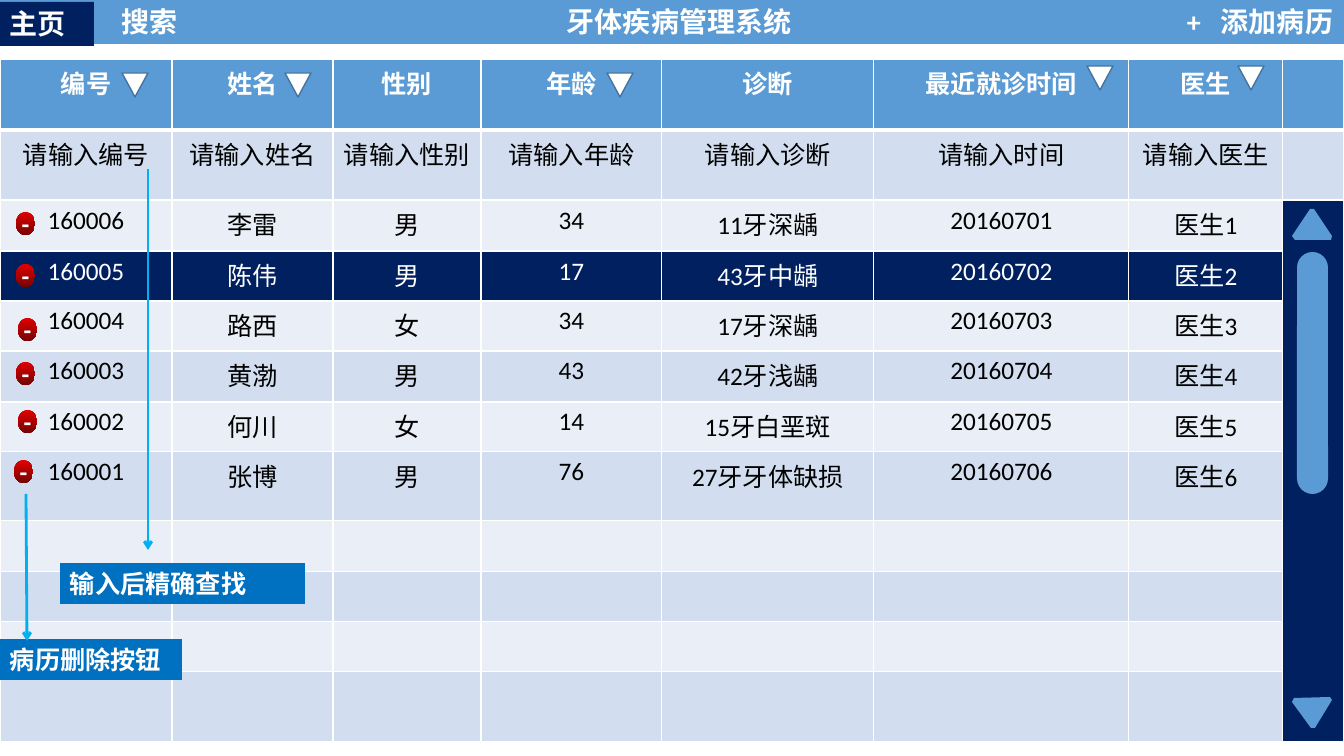
from lxml.etree import SubElement
from pptx import Presentation
from pptx.dml.color import RGBColor
from pptx.enum.shapes import MSO_CONNECTOR, MSO_SHAPE
from pptx.enum.text import MSO_ANCHOR, PP_ALIGN
from pptx.oxml.ns import qn
from pptx.util import Pt

PX = 9071  # EMU in one px
THEME = {
    "font": "Calibri", "body": 18, "bar": 20,
    "white": "FFFFFF", "black": "000000", "blue": "5B9BD5", "navy": "002060",
    "light": "EAEFF7", "dark": "D2DEEF", "edge": "43739E", "note": "0070C0",
    "arrow": "00B0F0", "red": "E30000", "wine": "760303",
}


def write(frame, text, size="body", color="white", bold=True,
          align=PP_ALIGN.LEFT, anchor=MSO_ANCHOR.TOP, tabs=(), inset=None):
    frame.word_wrap = inset is None
    frame.vertical_anchor = anchor
    if inset is not None:
        frame.margin_left = frame.margin_right = inset
        frame.margin_top = frame.margin_bottom = inset
    line = frame.paragraphs[0]
    line.text = text
    line.alignment = align
    if tabs:
        stops = SubElement(line._p.get_or_add_pPr(), qn("a:tabLst"))
        for stop in tabs:
            SubElement(stops, qn("a:tab"), pos=str(stop * PX), algn="l")
    for run in line.runs:
        run.font.name = THEME["font"]
        run.font.size = Pt(THEME[size])
        run.font.bold = bold
        run.font.color.rgb = RGBColor.from_string(THEME[color])


def draw(kind, left, top, width, height, fill, edge=None):
    shape = slide.shapes.add_shape(kind, left * PX, top * PX, width * PX, height * PX)
    shape.shadow.inherit = False
    shape.fill.solid()
    shape.fill.fore_color.rgb = RGBColor.from_string(THEME[fill])
    if edge:
        shape.line.color.rgb = RGBColor.from_string(THEME[edge])
        shape.line.width = Pt(1)
    else:
        shape.line.fill.background()
    return shape


deck = Presentation()
deck.slide_width, deck.slide_height = 1344 * PX, 756 * PX
slide = deck.slides.add_slide(deck.slide_layouts[6])

# Top bar
bar = draw(MSO_SHAPE.RECTANGLE, 0, 0, 1344, 44, "blue")
bar.text_frame.margin_right = 0
write(bar.text_frame, "\t搜索\t牙体疾病管理系统\t+\t添加病历", size="bar",
      tabs=(112, 557, 1177, 1211))
home = draw(MSO_SHAPE.RECTANGLE, 0, 2, 94, 44, "navy")
write(home.text_frame, "主页", size="bar")

# Patient table
widths = (172, 161, 148, 181, 212, 255, 154, 61)
heights = (71, 70, 51, 50, 50, 51, 50, 69, 51, 50, 50, 70)
rows = (
    ("编号", "姓名", "性别", "年龄", "诊断", "最近就诊时间", "医生"),
    ("请输入编号", "请输入姓名", "请输入性别", "请输入年龄", "请输入诊断", "请输入时间", "请输入医生"),
    ("160006", "李雷", "男", "34", "11牙深龋", "20160701", "医生1"),
    ("160005", "陈伟", "男", "17", "43牙中龋", "20160702", "医生2"),
    ("160004", "路西", "女", "34", "17牙深龋", "20160703", "医生3"),
    ("160003", "黄渤", "男", "43", "42牙浅龋", "20160704", "医生4"),
    ("160002", "何川", "女", "14", "15牙白垩斑", "20160705", "医生5"),
    ("160001", "张博", "男", "76", "27牙牙体缺损", "20160706", "医生6"),
)
table = slide.shapes.add_table(len(heights), len(widths), 0, 59 * PX,
                               sum(widths) * PX, sum(heights) * PX).table
for col, width in zip(table.columns, widths):
    col.width = width * PX
for row, height in zip(table.rows, heights):
    row.height = height * PX
table.cell(2, 7).merge(table.cell(11, 7))

for r in range(len(heights)):
    for c in range(len(widths)):
        cell = table.cell(r, c)
        props = cell._tc.get_or_add_tcPr()
        for side in ("lnL", "lnR", "lnT", "lnB"):
            thick = (r, side) in ((0, "lnB"), (1, "lnT"))
            rule = SubElement(props, qn("a:" + side), w=str(Pt(3 if thick else 1)))
            paint = SubElement(rule, qn("a:solidFill"))
            SubElement(paint, qn("a:srgbClr"), val=THEME["white"])
        if r == 0:
            fill = "blue"
        elif r == 3 or (c == 7 and r > 1):
            fill = "navy"
        else:
            fill = "dark" if r % 2 else "light"
        cell.fill.solid()
        cell.fill.fore_color.rgb = RGBColor.from_string(THEME[fill])
        if r < len(rows) and c < len(rows[r]):
            write(cell.text_frame, rows[r][c], bold=r == 0, align=PP_ALIGN.CENTER,
                  color="white" if r in (0, 3) else "black")

# Scroll bar
heads = (
    ((1310, 209), (1314, 209), (1332, 236), (1331, 240), (1295, 240), (1292, 236)),
    ((1315, 728), (1311, 728), (1292, 702), (1294, 698), (1330, 697), (1332, 700)),
)
for first, *rest in heads:
    pen = slide.shapes.build_freeform(*first, scale=PX)
    pen.add_line_segments(rest, close=True)
    head = pen.convert_to_shape()
    head.shadow.inherit = False
    head.fill.solid()
    head.fill.fore_color.rgb = RGBColor.from_string(THEME["blue"])
    head.line.fill.background()
thumb = draw(MSO_SHAPE.ROUNDED_RECTANGLE, 1297, 252, 31, 242, "blue")
thumb.adjustments[0] = 0.5

# Sort marks
for left, top in ((122, 73), (1238, 66), (1087, 66), (607, 73), (285, 73)):
    draw(MSO_SHAPE.FLOWCHART_MERGE, left, top, 26, 24, "white", edge="edge")

# Delete buttons
for left, top in ((16, 212), (16, 264), (18, 318), (16, 362), (18, 410), (14, 460)):
    button = draw(MSO_SHAPE.OVAL, left, top, 19, 23, "red")
    button.fill.gradient()
    button.fill.gradient_angle = 270
    for stop, color in zip(button.fill.gradient_stops, ("red", "wine")):
        stop.color.rgb = RGBColor.from_string(THEME[color])
    stops = button.fill.gradient_stops
    stops[0].position, stops[1].position = 0, 1
    write(button.text_frame, "-", align=PP_ALIGN.CENTER,
          anchor=MSO_ANCHOR.MIDDLE, inset=0)

# Notes
for text, left, top, width in (("输入后精确查找", 60, 563, 245),
                               ("病历删除按钮", 0, 639, 182)):
    note = draw(MSO_SHAPE.RECTANGLE, left, top, width, 41, "note")
    write(note.text_frame, text)

# Arrows to the notes
for ends in ((148, 169, 148, 550), (26, 494, 27, 641)):
    arrow = slide.shapes.add_connector(MSO_CONNECTOR.STRAIGHT, *(n * PX for n in ends))
    arrow.line.color.rgb = RGBColor.from_string(THEME["arrow"])
    arrow.line.width = Pt(2)
    props = arrow._element.spPr
    SubElement(props.find(qn("a:ln")), qn("a:tailEnd"), type="arrow")
    SubElement(props, qn("a:effectLst"))

deck.save("out.pptx")
